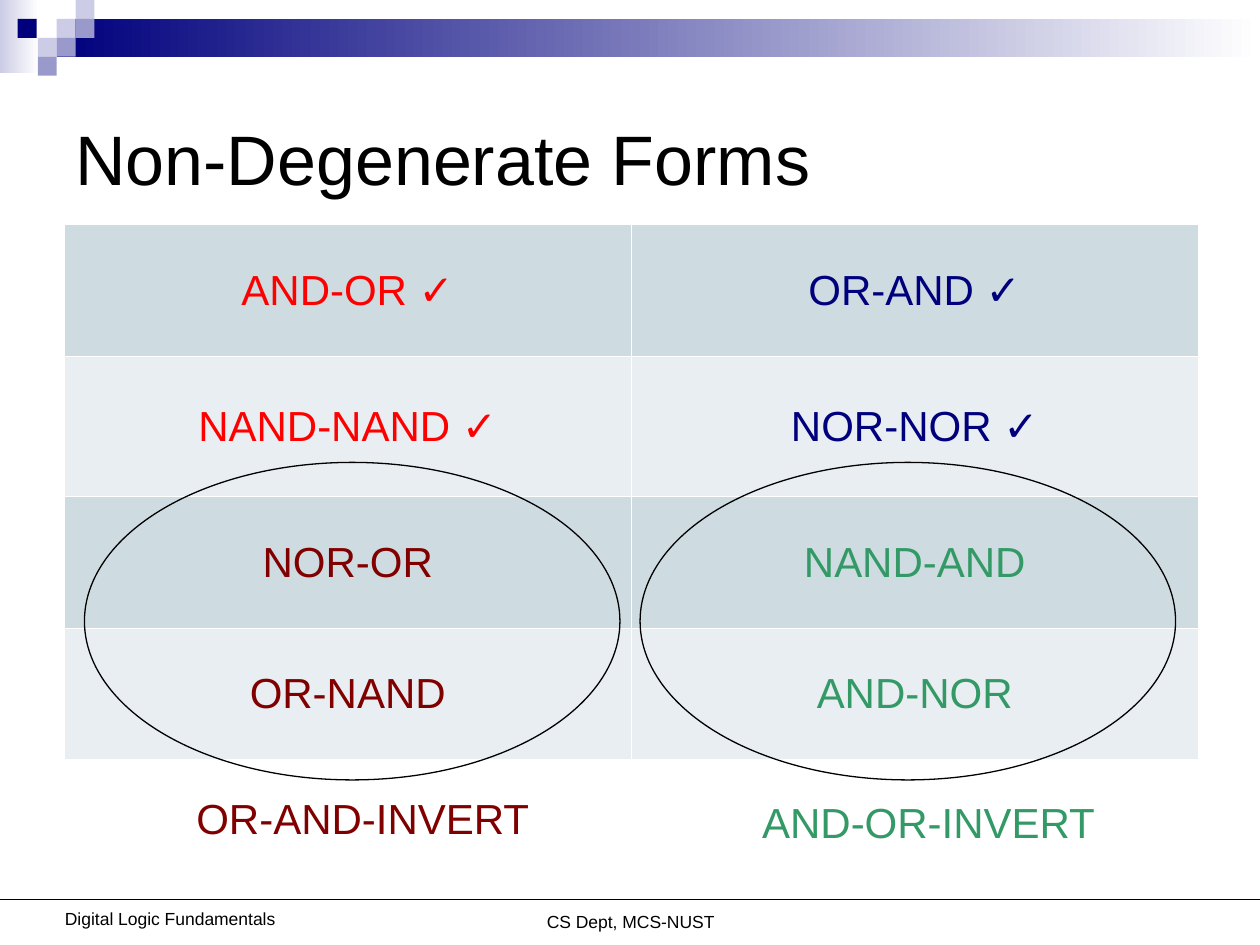
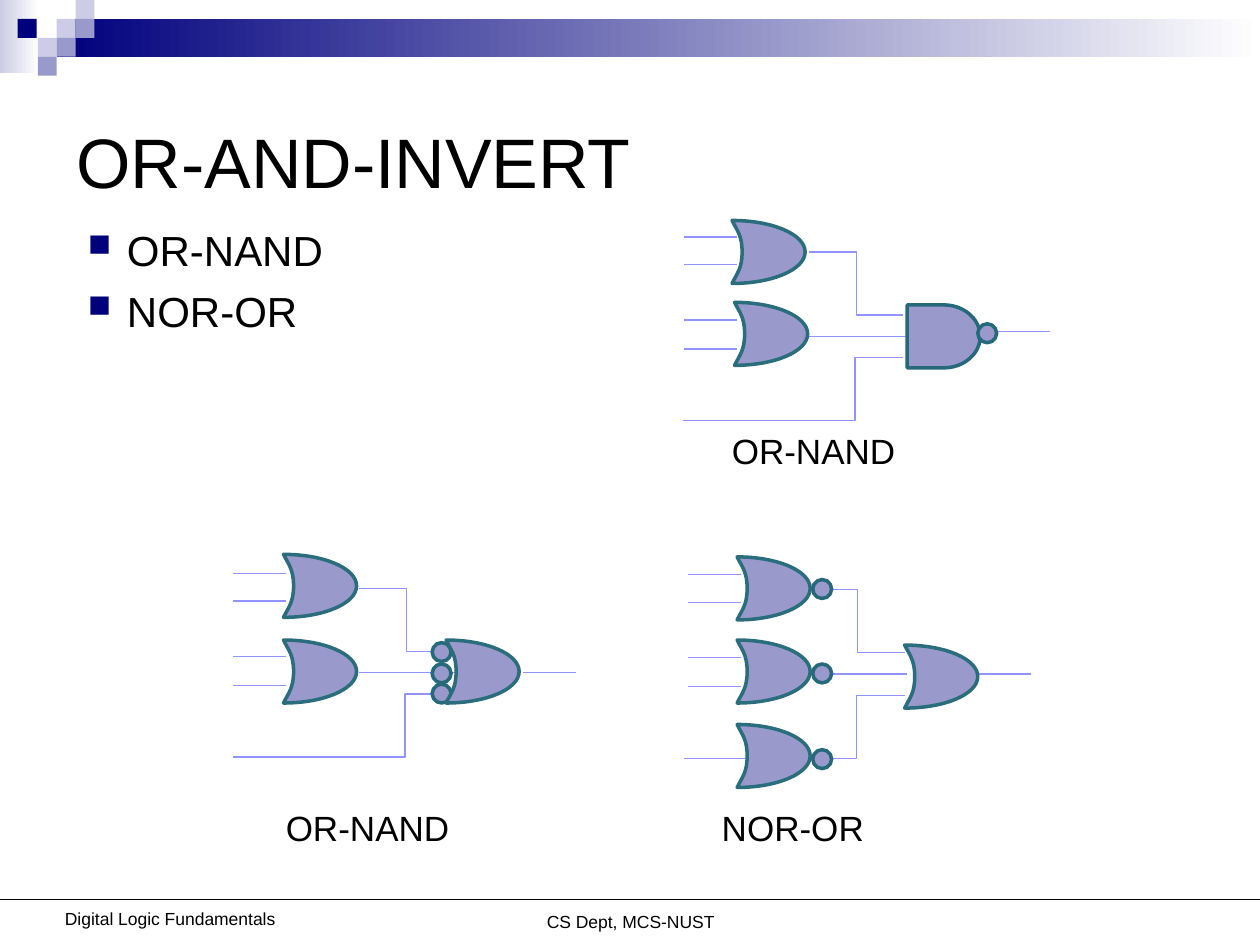
from dataclasses import dataclass

from lxml import etree
from pptx import Presentation
from pptx import util as u
from pptx.dml.color import RGBColor
from pptx.enum import shapes, text
from pptx.oxml.ns import qn

# Shared measures and colours: 100 px to the inch
EMU_PER_PX = 9144
FONT = "Arial"
BLACK, WHITE, NAVY = "000000", "FFFFFF", "00007D"
LILAC, PALE_LILAC, WIRE = "9999CC", "CCCCE6", "9393FC"
GATE_EDGE, BUBBLE_EDGE = "2A6D7D", "26697A"
RED, MAROON, GREEN = "FF0000", "800000", "339966"
ROW_FILLS = ("CEDCE1", "E8EEF1")
SHAPE = shapes.MSO_SHAPE
LEFT, CENTER = text.PP_ALIGN.LEFT, text.PP_ALIGN.CENTER
TOP, MIDDLE = text.MSO_ANCHOR.TOP, text.MSO_ANCHOR.MIDDLE

Point = tuple[int, int]


@dataclass(frozen=True)
class Box:
    x: int
    y: int
    w: int
    h: int


@dataclass(frozen=True)
class Label:
    words: str
    box: Box
    size: int
    color: str = BLACK
    align: text.PP_ALIGN = LEFT
    anchor: text.MSO_ANCHOR = TOP
    wrap: bool = False


@dataclass(frozen=True)
class Circuit:
    left: int  # start of the input wires
    top: int  # first input wire
    out: int  # start of the wires between the two levels
    output: Point
    or_gates: tuple[Point, ...]
    bubbles: tuple[Point, ...]
    caption: Label
    and_gate: Point | None = None


# Basic helpers
def px(n: float) -> u.Emu:
    return u.Emu(round(n * EMU_PER_PX))


def rgb(color: str) -> RGBColor:
    return RGBColor.from_string(color)


def place(box: Box) -> tuple[u.Emu, ...]:
    return px(box.x), px(box.y), px(box.w), px(box.h)


def paint(sp, fill: str | None, line: str | None = None, width: float = 0.75) -> None:
    sp.shadow.inherit = False
    if fill:
        sp.fill.solid()
        sp.fill.fore_color.rgb = rgb(fill)
    else:
        sp.fill.background()
    if line:
        sp.line.color.rgb = rgb(line)
        sp.line.width = u.Pt(width)
    else:
        sp.line.fill.background()


def add_run(p, words: str, size: int, color: str) -> None:
    r = p.add_run()
    r.text = words
    r.font.name, r.font.size = FONT, u.Pt(size)
    r.font.color.rgb = rgb(color)


def add_label(s, label: Label) -> None:
    tf = s.shapes.add_textbox(*place(label.box)).text_frame
    tf.word_wrap = label.wrap
    tf.vertical_anchor = label.anchor
    p = tf.paragraphs[0]
    p.alignment = label.align
    add_run(p, label.words, label.size, label.color)


def add_shape(s, kind, box: Box, fill: str | None,
              line: str | None = None, width: float = 0.75):
    sp = s.shapes.add_shape(kind, *place(box))
    paint(sp, fill, line, width)
    return sp


def add_line(s, start: Point, end: Point, color: str, bend: float | None = None) -> None:
    """Draw a straight line, or an elbow that turns at the share bend of its width."""
    kind = shapes.MSO_CONNECTOR.STRAIGHT if bend is None else shapes.MSO_CONNECTOR.ELBOW
    c = s.shapes.add_connector(kind, *map(px, start + end))
    c.line.color.rgb = rgb(color)
    c.line.width = u.Pt(0.75)
    props = c.element.spPr
    etree.SubElement(props, qn("a:effectLst"))
    if bend is not None:
        guides = props.find(qn("a:prstGeom")).find(qn("a:avLst"))
        etree.SubElement(guides, qn("a:gd"), name="adj1", fmla=f"val {round(bend * 100000)}")


# Frame shared by the slides
TILE = 15
TILES = ((45, 15, PALE_LILAC), (60, 0, PALE_LILAC), (60, 15, LILAC),
         (30, 30, PALE_LILAC), (14, 15, NAVY), (45, 30, LILAC), (30, 45, LILAC))
BANDS = ((Box(0, 0, 31, 58), PALE_LILAC), (Box(45, 15, 955, 30), NAVY))
FOOTERS = (Label("CS Dept, MCS-NUST", Box(292, 718, 417, 26), 10, align=CENTER, wrap=True),
           Label("Digital Logic Fundamentals", Box(35, 716, 200, 26), 10, align=CENTER,
                 wrap=True))


def add_frame(prs, title: str, x: int, y: int):
    s = prs.slides.add_slide(prs.slide_layouts[6])
    for box, color in BANDS:
        fill = add_shape(s, SHAPE.RECTANGLE, box, color).fill
        fill.gradient()
        fill.gradient_angle = 0
        for stop, shade in zip(fill.gradient_stops, (color, WHITE)):
            stop.color.rgb = rgb(shade)
    for tile_x, tile_y, color in TILES:
        add_shape(s, SHAPE.RECTANGLE, Box(tile_x, tile_y, TILE, TILE), color)
    for footer in FOOTERS:
        add_label(s, footer)
    add_line(s, (0, 714), (1000, 714), BLACK)
    add_label(s, Label(title, Box(x, y, 900, 150), 40, anchor=MIDDLE, wrap=True))
    return s


# Slide 1: table of forms
FORMS = ((("AND-OR ✓", RED), ("OR-AND ✓", NAVY)),
         (("NAND-NAND ✓", RED), ("NOR-NOR ✓", NAVY)),
         (("NOR-OR", MAROON), ("NAND-AND", GREEN)),
         (("OR-NAND", MAROON), ("AND-NOR", GREEN)))
ROW_HEIGHTS = (105, 111, 105, 104)
RINGS = (Box(67, 367, 425, 252), Box(508, 367, 425, 252))
RING_LABELS = (Label("OR-AND-INVERT", Box(146, 624, 285, 50), 24, MAROON),
               Label("AND-OR-INVERT", Box(595, 627, 285, 50), 24, GREEN))


def set_borders(cell) -> None:
    props = cell._tc.get_or_add_tcPr()
    for side in ("lnL", "lnR", "lnT", "lnB"):
        ln = etree.SubElement(props, qn(f"a:{side}"), w=str(u.Pt(0.45)))
        solid = etree.SubElement(ln, qn("a:solidFill"))
        etree.SubElement(solid, qn("a:srgbClr"), val=WHITE)


def add_forms_table(s) -> None:
    box = Box(51, 178, 900, sum(ROW_HEIGHTS))
    table = s.shapes.add_table(len(FORMS), len(FORMS[0]), *place(box)).table
    table.first_row = table.horz_banding = False
    for i, (forms, height) in enumerate(zip(FORMS, ROW_HEIGHTS)):
        table.rows[i].height = px(height)
        for j, (form, color) in enumerate(forms):
            cell = table.cell(i, j)
            set_borders(cell)
            cell.fill.solid()
            cell.fill.fore_color.rgb = rgb(ROW_FILLS[i % 2])
            cell.vertical_anchor = MIDDLE
            p = cell.text_frame.paragraphs[0]
            p.alignment = CENTER
            add_run(p, form, 24, color)


def build_forms_slide(prs) -> None:
    s = add_frame(prs, "Non-Degenerate Forms", 50, 50)
    add_forms_table(s)
    for ring, label in zip(RINGS, RING_LABELS):
        add_shape(s, SHAPE.OVAL, ring, None, BLACK)
        add_label(s, label)


# Slide 2: gate circuits
GATE_W, GATE_H, BUBBLE = 58, 50, 15
OR_START = (0, 50)
OR_CURVES = (((4, 42), (8, 38), (8, 25)),  # two controls and an end each
             ((8, 12), (4, 8), (0, 0)),
             ((32, 0), (58, 11), (58, 25)),
             ((58, 39), (32, 50), OR_START))
INPUT_RISES = (0, 22, 66, 89)
STUB = 42  # length of an input or output wire

CIRCUITS = (
    Circuit(543, 188, 642, (791, 263), ((581, 175), (583, 240)), ((776, 257),),
            Label("OR-NAND", Box(571, 336, 150, 44), 20), and_gate=(720, 242)),
    Circuit(185, 455, 285, (415, 534), ((225, 440), (225, 508), (354, 508)),
            ((343, 510), (343, 527), (343, 543)),
            Label("OR-NAND", Box(217, 635, 150, 44), 20)),
    Circuit(546, 456, 643, (776, 535),
            ((585, 442), (585, 508), (585, 575), (718, 512)),
            ((645, 460), (645, 527), (645, 595)),
            Label("NOR-OR", Box(563, 635, 133, 44), 20)),
)


def add_or_gate(s, corner: Point) -> None:
    left, top = corner
    ends = [(px(left + x), px(top + y)) for x, y in (OR_START, *(c[-1] for c in OR_CURVES))]
    builder = s.shapes.build_freeform(*ends[0], scale=1.0)
    builder.add_line_segments(ends[1:], close=True)
    sp = builder.convert_to_shape()
    # Bend each straight side into its curve
    sides = list(sp.element.iter(qn("a:lnTo")))
    for side, curve in zip(sides, OR_CURVES):
        side.tag = qn("a:cubicBezTo")
        side.clear()
        for x, y in curve:
            etree.SubElement(side, qn("a:pt"), x=str(px(x)), y=str(px(y)))
    paint(sp, LILAC, GATE_EDGE, 2)


def add_circuit(s, c: Circuit) -> None:
    # Wires
    for rise in INPUT_RISES:
        add_line(s, (c.left, c.top + rise), (c.left + STUB, c.top + rise), WIRE)
    add_line(s, (c.out, c.top + 12), (c.out + 75, c.top + 62), WIRE, bend=0.5)
    add_line(s, (c.out, c.top + 79), (c.out + 77, c.top + 79), WIRE)
    add_line(s, (c.out - 100, c.top + 146), (c.out + 75, c.top + 96), WIRE, bend=0.78)
    x, y = c.output
    add_line(s, (x, y), (x + STUB, y), WIRE)
    # Gates
    if c.and_gate:
        add_shape(s, SHAPE.FLOWCHART_DELAY, Box(*c.and_gate, GATE_W, GATE_H),
                  LILAC, BUBBLE_EDGE, 2)
    for bubble in c.bubbles:
        add_shape(s, SHAPE.FLOWCHART_CONNECTOR, Box(*bubble, BUBBLE, BUBBLE),
                  LILAC, BUBBLE_EDGE, 2)
    for gate in c.or_gates:
        add_or_gate(s, gate)
    add_label(s, c.caption)


def add_bullets(s, box: Box, items: tuple[str, ...]) -> None:
    tf = s.shapes.add_textbox(*place(box)).text_frame
    tf.word_wrap = True
    for i, item in enumerate(items):
        p = tf.add_paragraph() if i else tf.paragraphs[0]
        if i:
            p.space_before = u.Pt(6)
        props = p._p.get_or_add_pPr()
        props.set("marL", str(px(40)))
        props.set("indent", str(px(-31)))
        color = etree.SubElement(props, qn("a:buClr"))
        etree.SubElement(color, qn("a:srgbClr"), val=NAVY)
        etree.SubElement(props, qn("a:buSzPct"), val="75000")
        # The letter n is the square in this symbol font
        etree.SubElement(props, qn("a:buFont"), typeface="Wingdings", charset="2")
        etree.SubElement(props, qn("a:buChar"), char="n")
        add_run(p, item, 24, BLACK)


def build_circuits_slide(prs) -> None:
    s = add_frame(prs, "OR-AND-INVERT", 51, 52)
    add_bullets(s, Box(51, 173, 820, 525), ("OR-NAND", "NOR-OR"))
    for circuit in CIRCUITS:
        add_circuit(s, circuit)


def main() -> None:
    prs = Presentation()
    prs.slide_width, prs.slide_height = px(1000), px(750)
    build_forms_slide(prs)
    build_circuits_slide(prs)
    prs.save("out.pptx")


if __name__ == "__main__":
    main()
